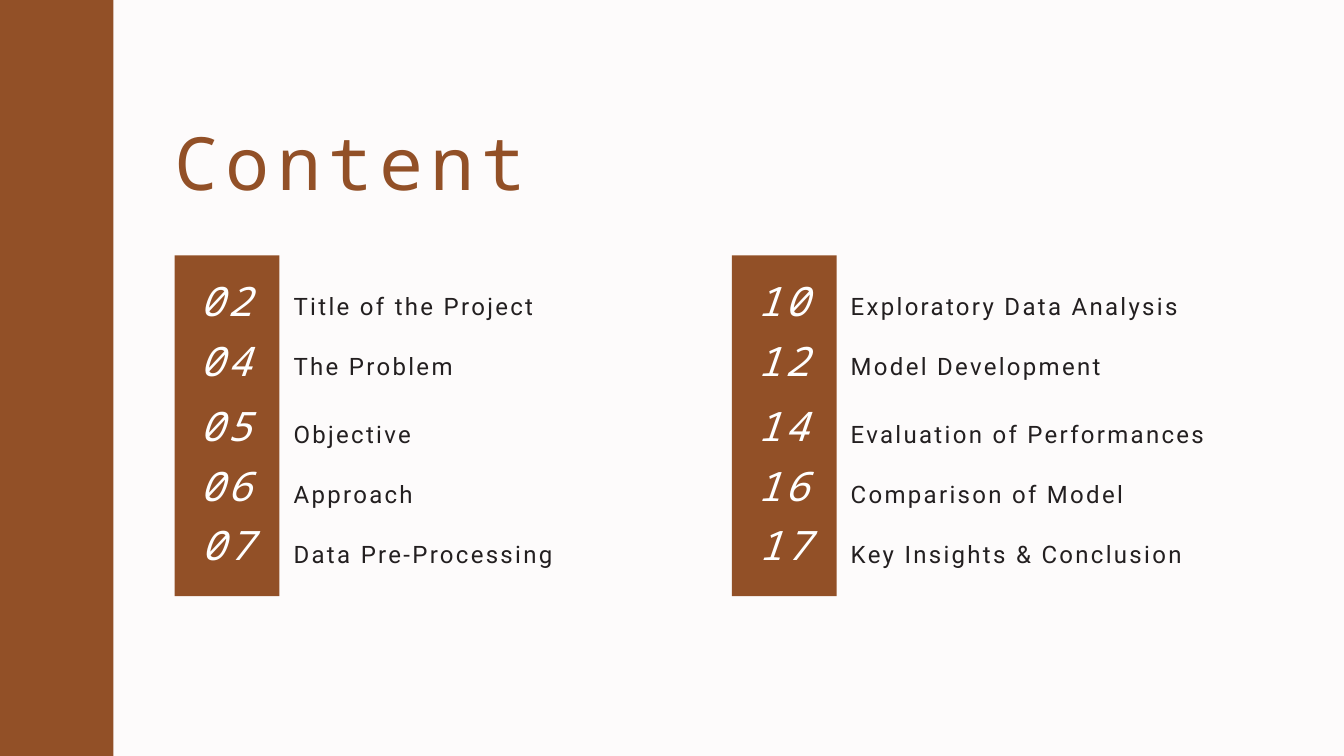
import pptx
import pptx.dml.color
import pptx.enum.shapes
import pptx.enum.text
import pptx.util

Pt = pptx.util.Pt
ALIGN = pptx.enum.text.PP_ALIGN
COLORS = {"paper": "FDFBFB", "brown": "925027", "white": "FFFFFF", "ink": "231F20"}
FORMATS = {
    "title": dict(font="Noto Sans Mono", size=78.7, color="brown", tracking=7.7, leading=108.6),
    "number": dict(font="Noto Sans Mono", size=43.4, color="white", tracking=3.6, leading=52.1,
                   italic=True, align=ALIGN.CENTER),
    "label": dict(font="Roboto", size=25.7, color="ink", tracking=2.5, leading=35.4),
}
COLUMNS = [
    (187.2, [("02", "Title of the Project"), ("04", "The Problem"), ("05", "Objective"),
             ("06", "Approach"), ("07", "Data Pre-Processing")]),
    (784.1, [("10", "Exploratory Data Analysis"), ("12", "Model Development"),
             ("14", "Evaluation of Performances"), ("16", "Comparison of Model"),
             ("17", "Key Insights & Conclusion")]),
]
ROWS = [(17.3, 295.7, 308.2), (17.3, 359.5, 372.2), (17.3, 430.1, 445),
        (17.3, 493.7, 509), (18.7, 557.5, 573.1)]


def rgb(name):
    return pptx.dml.color.RGBColor.from_string(COLORS[name])


def write(para, text, font, size, color, tracking, leading, italic=False, align=ALIGN.LEFT):
    para.alignment = align
    para.line_spacing = Pt(leading)
    span = para.add_run()
    span.text = text
    span.font.name = font
    span.font.size = Pt(size)
    span.font.italic = italic
    span.font.color.rgb = rgb(color)
    span._r.get_or_add_rPr().set("spc", str(round(tracking * 100)))


class Painter:
    def __init__(self, page):
        self.page = page
        page.background.fill.solid()
        page.background.fill.fore_color.rgb = rgb("paper")

    def panel(self, left, top, width, height):
        shape = self.page.shapes.add_shape(
            pptx.enum.shapes.MSO_SHAPE.RECTANGLE, Pt(left), Pt(top), Pt(width), Pt(height))
        shape.shadow.inherit = False
        shape.fill.solid()
        shape.fill.fore_color.rgb = rgb("brown")
        shape.line.fill.background()

    def text(self, left, top, width, height, text, style):
        box = self.page.shapes.add_textbox(Pt(left), Pt(top), Pt(width), Pt(height))
        frame = box.text_frame
        frame.word_wrap = True
        frame.auto_size = pptx.enum.text.MSO_AUTO_SIZE.SHAPE_TO_FIT_TEXT
        frame.margin_left = frame.margin_right = frame.margin_top = frame.margin_bottom = 0
        write(frame.paragraphs[0], text, **FORMATS[style])


def main():
    deck = pptx.Presentation()
    deck.slide_width, deck.slide_height = Pt(1440), Pt(810)
    painter = Painter(deck.slides.add_slide(deck.slide_layouts[6]))
    painter.panel(0, 0, 121.5, 810)
    painter.text(187.2, 110.9, 445.7, 113, "Content", "title")
    for left, entries in COLUMNS:
        painter.panel(left, 273.5, 112.3, 365.3)
        for (number, label), (indent, number_top, label_top) in zip(entries, ROWS):
            painter.text(left + indent, number_top, 74.9, 56.2, number, "number")
            painter.text(left + 127.4, label_top, 480, 32.4, label, "label")
    deck.save("out.pptx")


if __name__ == "__main__":
    main()
